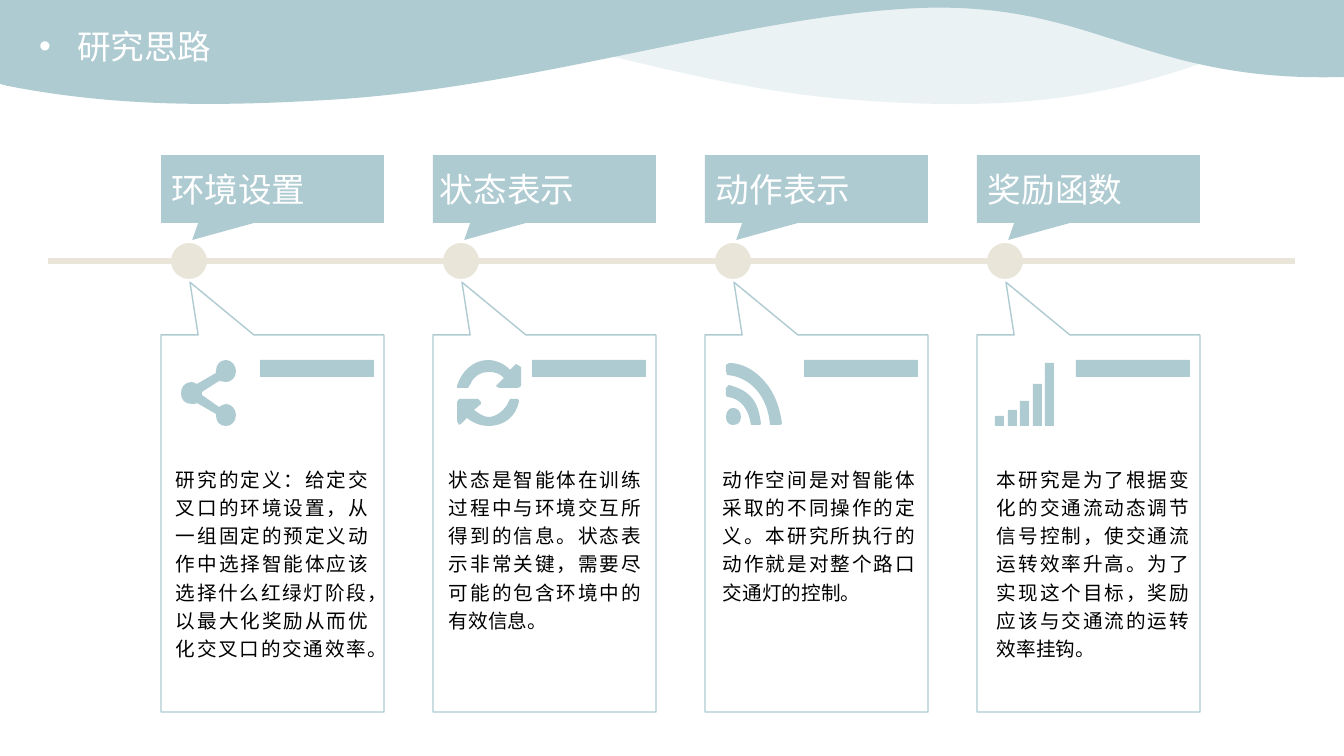
from dataclasses import dataclass

from lxml import etree
from pptx import Presentation
from pptx import util as u
from pptx.dml.color import RGBColor
from pptx.enum import shapes, text
from pptx.oxml.ns import qn

PX = 914400 / 100.8
CARD_LEFT, CARD_PITCH, CARD_W = 161, 272, 223


@dataclass(frozen=True)
class Theme:
    teal: str = "AFCBD2"
    sand: str = "E9E6D9"
    white: str = "FFFFFF"
    black: str = "000000"
    font: str = "Noto Sans CJK SC"
    heading: int = 24
    body: int = 14
    body_spacing: float = 1.2


THEME = Theme()

# Outlines: two numbers are a corner, six are a cubic curve (two handles, end).
BACK_WAVE = [[(1344, 0), (0, 0), (0, 77), (170, 83, 208, 2, 356, 8),
              (503, 15, 678, 88, 856, 100), (1034, 113, 1154, 99, 1344, 0)]]
FRONT_WAVE = [[(0, 0), (1344, 0), (1344, 77), (1142, 83, 1097, 2, 921, 8),
               (746, 15, 538, 88, 327, 100), (209, 107, 111, 106, 8, 86), (0, 84)]]
SHARE = [[(226, 404), (223, 404, 222, 406, 219, 407), (202, 395), (202, 392),
          (219, 381), (222, 381, 223, 382, 226, 382), (231, 382, 236, 378, 236, 371),
          (236, 365, 231, 360, 226, 360), (220, 360, 216, 365, 216, 371),
          (216, 373), (197, 384), (196, 384, 194, 382, 192, 382),
          (185, 382, 181, 387, 181, 393), (181, 400, 185, 404, 192, 404),
          (194, 404, 196, 404, 197, 403), (216, 414), (216, 415),
          (216, 422, 220, 426, 226, 426), (231, 426, 236, 422, 236, 415),
          (236, 409, 231, 404, 226, 404)]]
REFRESH = [
    [(519, 401), (516, 417, 504, 426, 488, 426), (481, 426, 473, 423, 467, 418),
     (462, 423), (459, 425), (457, 421), (457, 402), (459, 399), (478, 399),
     (481, 402), (481, 404), (474, 410), (478, 413, 484, 417, 488, 417),
     (496, 417, 502, 412, 507, 405), (510, 399), (518, 399)],
    [(521, 386), (518, 388), (499, 388), (496, 386), (498, 384), (504, 378),
     (499, 373, 495, 372, 488, 372), (481, 372, 474, 376, 471, 383), (468, 388),
     (457, 388), (457, 386), (461, 372, 473, 360, 488, 360),
     (496, 360, 505, 364, 510, 370), (516, 364), (521, 367)],
]
FEED = [
    [(780, 425), (770, 425), (768, 397, 751, 377, 727, 375), (726, 371), (726, 365),
     (729, 363), (742, 363, 755, 370, 765, 382), (774, 392, 780, 407, 782, 424)],
    [(760, 425), (751, 425), (749, 410, 741, 398, 727, 397), (726, 395), (726, 388),
     (729, 385), (736, 387, 745, 390, 751, 397), (757, 403, 760, 414, 761, 424)],
    [(733, 425), (729, 425, 726, 422, 726, 417), (726, 412, 729, 408, 733, 408),
     (738, 408, 741, 412, 741, 417), (741, 422, 738, 425, 733, 425)],
]
SIGNAL = [[(x, 426), (x, top), (x + 9, top), (x + 9, 426)]
          for x, top in zip((995, 1008, 1020, 1033, 1045), (416, 410, 401, 384, 363))]

# Heading, heading inset, icon, body left, body text.
COLUMNS = [
    ("环境设置", 10, SHARE, 176,
     "研究的定义：给定交叉口的环境设置，从一组固定的预定义动作中选择智能体应该"
     "选择什么红绿灯阶段，以最大化奖励从而优化交叉口的交通效率。"),
    ("状态表示", 7, REFRESH, 449,
     "状态是智能体在训练过程中与环境交互所得到的信息。状态表示非常关键，"
     "需要尽可能的包含环境中的有效信息。"),
    ("动作表示", 11, FEED, 723,
     "动作空间是对智能体采取的不同操作的定义。本研究所执行的动作就是对整个路口交通灯的控制。"),
    ("奖励函数", 11, SIGNAL, 997,
     "本研究是为了根据变化的交通流动态调节信号控制，使交通流运转效率升高。"
     "为了实现这个目标，奖励应该与交通流的运转效率挂钩。"),
]


def px(n):
    return u.Emu(round(n * PX))


def rgb(color):
    return RGBColor.from_string(color)


def paint(sp, fill, line=None):
    sp.shadow.inherit = False
    sp.fill.solid()
    sp.fill.fore_color.rgb = rgb(fill)
    if line:
        sp.line.color.rgb = rgb(line)
        sp.line.width = u.Pt(1)
    else:
        sp.line.fill.background()


def add_block(slide, kind, box, fill, line=None):
    sp = slide.shapes.add_shape(kind, *map(px, box))
    paint(sp, fill, line)
    return sp


def add_callout(slide, box, tip, fill, line=None):
    """Add a rectangle whose tip lies at the given fractions from its centre."""
    sp = add_block(slide, shapes.MSO_SHAPE.RECTANGULAR_CALLOUT, box, fill, line)
    sp.adjustments[0], sp.adjustments[1] = tip
    return sp


def bend(sp, segments):
    """Turn the straight segments that have handles into cubic curves."""
    for line, part in zip(list(sp._element.iter(qn("a:lnTo"))), segments):
        if len(part) == 6:
            line.tag = qn("a:cubicBezTo")
            for i, (x, y) in enumerate((part[:2], part[2:4])):
                handle = etree.Element(qn("a:pt"), x=str(px(x) - sp.left),
                                       y=str(px(y) - sp.top))
                line.insert(i, handle)


def add_outline(slide, contours, fill, alpha=None):
    builder = None
    for contour in contours:
        start, *rest = [(px(part[-2]), px(part[-1])) for part in contour]
        if builder is None:
            builder = slide.shapes.build_freeform(*start)
        else:
            builder.move_to(*start)
        builder.add_line_segments(rest, close=True)
    sp = builder.convert_to_shape()
    bend(sp, [part for contour in contours for part in contour[1:]])
    paint(sp, fill)
    if alpha:
        color = sp._element.spPr.find(qn("a:solidFill")).find(qn("a:srgbClr"))
        etree.SubElement(color, qn("a:alpha"), val=str(alpha * 1000))


def add_axis(slide, left, right, y):
    line = slide.shapes.add_connector(shapes.MSO_CONNECTOR.STRAIGHT,
                                      px(left), px(y), px(right), px(y))
    line.line.color.rgb = rgb(THEME.sand)
    line.line.width = u.Pt(3.75)
    etree.SubElement(line._element.spPr, qn("a:effectLst"))


def write(sp, words, size, color, align, anchor, inset=0, spacing=None, bullet=False):
    tf = sp.text_frame
    tf.word_wrap = True
    tf.vertical_anchor = anchor
    tf.margin_left = px(inset)
    tf.margin_right = tf.margin_top = tf.margin_bottom = 0
    p = tf.paragraphs[0]
    p.alignment = align
    if spacing:
        p.line_spacing = spacing
    if bullet:
        pPr = p._p.get_or_add_pPr()
        pPr.set("marL", str(px(38)))
        pPr.set("indent", str(-px(38)))
        etree.SubElement(pPr, qn("a:buFont"), typeface="Arial")
        etree.SubElement(pPr, qn("a:buChar"), char="•")
    r = p.add_run()
    r.text = words
    r.font.size = u.Pt(size)
    r.font.color.rgb = rgb(color)
    r.font.name = THEME.font
    etree.SubElement(r._r.get_or_add_rPr(), qn("a:ea"), typeface=THEME.font)


def add_text(slide, box, *args, **options):
    write(slide.shapes.add_textbox(*map(px, box)), *args, **options)


def add_column(slide, left, heading, inset, icon, body_left, body):
    align, anchor = text.PP_ALIGN, text.MSO_ANCHOR
    add_block(slide, shapes.MSO_SHAPE.OVAL, (left + 10, 243, 36, 36), THEME.sand)
    label = add_callout(slide, (left, 155, CARD_W, 68), (-0.36, 0.75), THEME.teal)
    write(label, heading, THEME.heading, THEME.white, align.LEFT, anchor.MIDDLE, inset)
    add_callout(slide, (left, 335, CARD_W, 377), (-0.37, -0.64), THEME.white, THEME.teal)
    add_outline(slide, icon, THEME.teal)
    add_block(slide, shapes.MSO_SHAPE.RECTANGLE, (left + 99, 360, 114, 17), THEME.teal)
    add_text(slide, (body_left, 463, 192, 200), body, THEME.body, THEME.black,
             align.JUSTIFY, anchor.TOP, spacing=THEME.body_spacing)


def main():
    prs = Presentation()
    prs.slide_width, prs.slide_height = px(1344), px(756)
    slide = prs.slides.add_slide(prs.slide_layouts[6])
    add_outline(slide, BACK_WAVE, THEME.teal, alpha=24)
    add_outline(slide, FRONT_WAVE, THEME.teal)
    add_text(slide, (39, 21, 226, 50), "研究思路", THEME.heading, THEME.white,
             text.PP_ALIGN.JUSTIFY, text.MSO_ANCHOR.MIDDLE, bullet=True)
    add_axis(slide, 48, 1295, 261)
    for i, column in enumerate(COLUMNS):
        add_column(slide, CARD_LEFT + i * CARD_PITCH, *column)
    prs.save("out.pptx")


if __name__ == "__main__":
    main()
